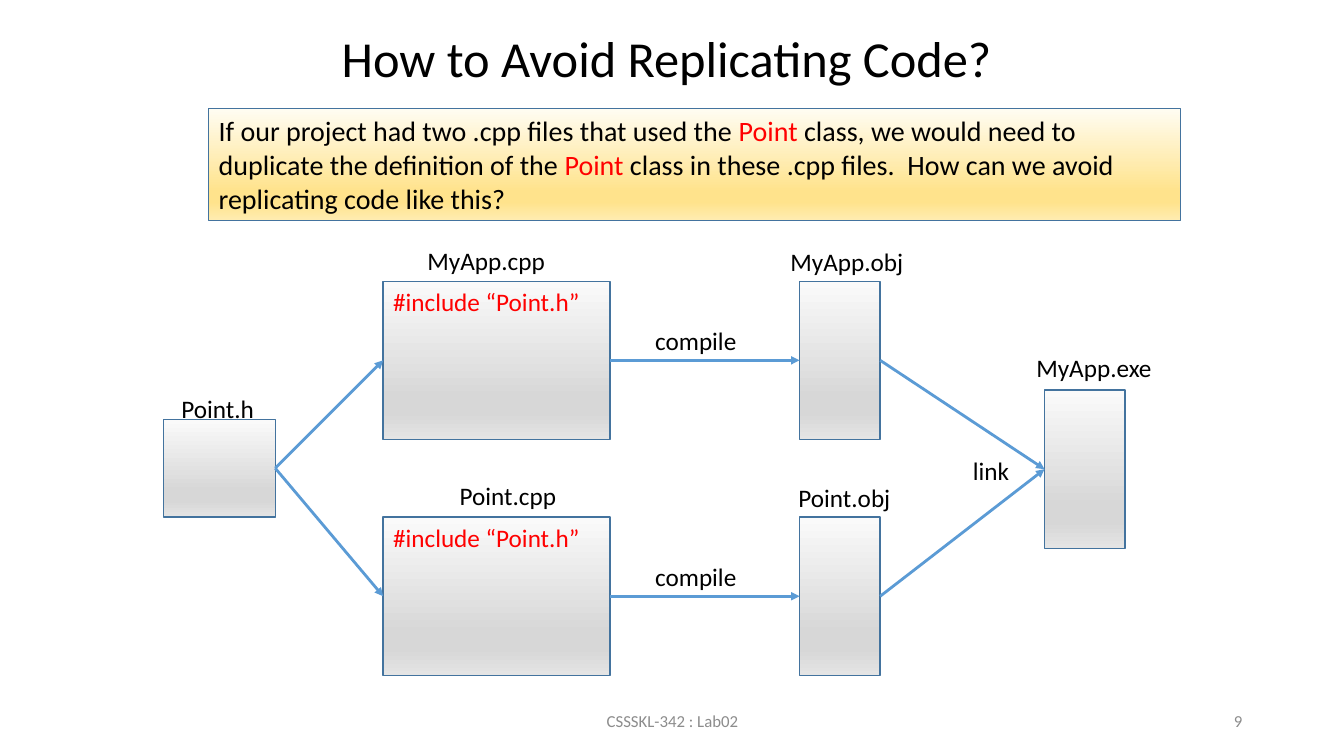
from lxml.etree import SubElement
from pptx import Presentation
from pptx.dml.color import RGBColor
from pptx.enum.shapes import MSO_CONNECTOR, MSO_SHAPE
from pptx.enum.text import MSO_ANCHOR, PP_ALIGN
from pptx.oxml.ns import qn
from pptx.util import Inches, Pt

BLACK, RED, MUTED = "000000", "FF0000", "8C8C8C"
OUTLINE, ARROW = "43739E", "5B9BD5"
STOPS = (0, 74, 83, 100)
GOLD = ("FFFCF2", "FFE38C", "FFE38C", "FFECB2")
GRAY = ("FAFAFA", "D7D7D7", "D7D7D7", "E4E4E4")
LEFT_SITE, RIGHT_SITE = 1, 3  # connection sites of a rectangle

# Rows and sizes shared by the build diagram
APP_TOP, POINT_TOP = 2.79, 5.13
SOURCE_WIDTH, BINARY_WIDTH, FILE_HEIGHT = 2.25, 0.8, 1.57


def color(value):
    return RGBColor.from_string(value)


def write(shape, runs, size=18, align=PP_ALIGN.LEFT, anchor=MSO_ANCHOR.TOP):
    """Fill a shape with one paragraph of (text, colour) runs."""
    frame = shape.text_frame
    frame.word_wrap = True
    frame.vertical_anchor = anchor
    paragraph = frame.paragraphs[0]
    paragraph.alignment = align
    for text, run_color in runs:
        run = paragraph.add_run()
        run.text = text
        run.font.name = "Calibri"
        run.font.size = Pt(size)
        run.font.color.rgb = color(run_color)


def add_text(slide, text, left, top, width, height=0.4, text_color=BLACK, **style):
    box = slide.shapes.add_textbox(
        Inches(left), Inches(top), Inches(width), Inches(height))
    write(box, [(text, text_color)], **style)


def add_box(slide, left, top, width, height, shades=GRAY, line_width=1):
    """Add an outlined rectangle with a vertical gradient."""
    shape = slide.shapes.add_shape(
        MSO_SHAPE.RECTANGLE, Inches(left), Inches(top), Inches(width), Inches(height))
    shape.shadow.inherit = False
    shape.line.color.rgb = color(OUTLINE)
    shape.line.width = Pt(line_width)
    shape.fill.gradient()
    shape.fill.gradient_angle = 270
    stop_list = shape._element.spPr.find(qn("a:gradFill")).find(qn("a:gsLst"))
    for stop in list(stop_list):
        stop_list.remove(stop)
    for position, shade in zip(STOPS, shades):
        stop = SubElement(stop_list, qn("a:gs"), pos=str(position * 1000))
        SubElement(stop, qn("a:srgbClr"), val=shade)
    return shape


def add_arrow(slide, source, target):
    """Join the right side of one box to the left side of another."""
    connector = slide.shapes.add_connector(MSO_CONNECTOR.STRAIGHT, 0, 0, 0, 0)
    connector.begin_connect(source, RIGHT_SITE)
    connector.end_connect(target, LEFT_SITE)
    connector.line.color.rgb = color(ARROW)
    connector.line.width = Pt(2)
    SubElement(connector.line._get_or_add_ln(), qn("a:tailEnd"), type="triangle")
    SubElement(connector._element.spPr, qn("a:effectLst"))


def main():
    presentation = Presentation()
    presentation.slide_width = Inches(13.33)
    presentation.slide_height = Inches(7.5)
    slide = presentation.slides.add_slide(presentation.slide_layouts[6])

    # Title and question
    add_text(slide, "How to Avoid Replicating Code?", 3.29, 0.22, 7.57, 0.71, size=36)
    question = add_box(slide, 2.07, 1.08, 9.64, 1.11, GOLD, 0.75)
    write(question, [
        ("If our project had two .cpp files that used the ", BLACK),
        ("Point ", RED),
        ("class, we would need to duplicate the definition of the ", BLACK),
        ("Point", RED),
        (" class in these .cpp files.  How can we avoid replicating code like this?", BLACK),
    ], size=20)

    # Header, program, and one compiled row for each source file
    header = add_box(slide, 1.62, 4.16, 1.11, 0.97)
    program = add_box(slide, 10.36, 3.87, BINARY_WIDTH, FILE_HEIGHT)
    for top in (APP_TOP, POINT_TOP):
        source = add_box(slide, 3.8, top, SOURCE_WIDTH, FILE_HEIGHT)
        write(source, [("#include “Point.h”", RED)])
        binary = add_box(slide, 7.93, top, BINARY_WIDTH, FILE_HEIGHT)
        add_arrow(slide, header, source)
        add_arrow(slide, source, binary)
        add_arrow(slide, binary, program)
        add_text(slide, "compile", 6.4, top + 0.39, 1.34)

    # File names and link step
    for text, left, top, width in (
        ("Point.h", 1.7, 3.85, 1.27),
        ("MyApp.cpp", 4.14, 2.38, 2.25),
        ("Point.cpp", 4.46, 4.72, 1.27),
        ("MyApp.obj", 7.74, 2.39, 2.25),
        ("Point.obj", 7.82, 4.74, 1.49),
        ("MyApp.exe", 10.18, 3.45, 1.93),
        ("link", 9.55, 4.47, 1.34),
    ):
        add_text(slide, text, left, top, width)

    # Footer
    for text, left, width, align in (
        ("CSSSKL-342 : Lab02", 4.42, 4.5, PP_ALIGN.CENTER),
        ("9", 9.42, 3, PP_ALIGN.RIGHT),
    ):
        add_text(slide, text, left, 6.95, width, text_color=MUTED, size=12,
                 align=align, anchor=MSO_ANCHOR.MIDDLE)

    presentation.save("out.pptx")


if __name__ == "__main__":
    main()
